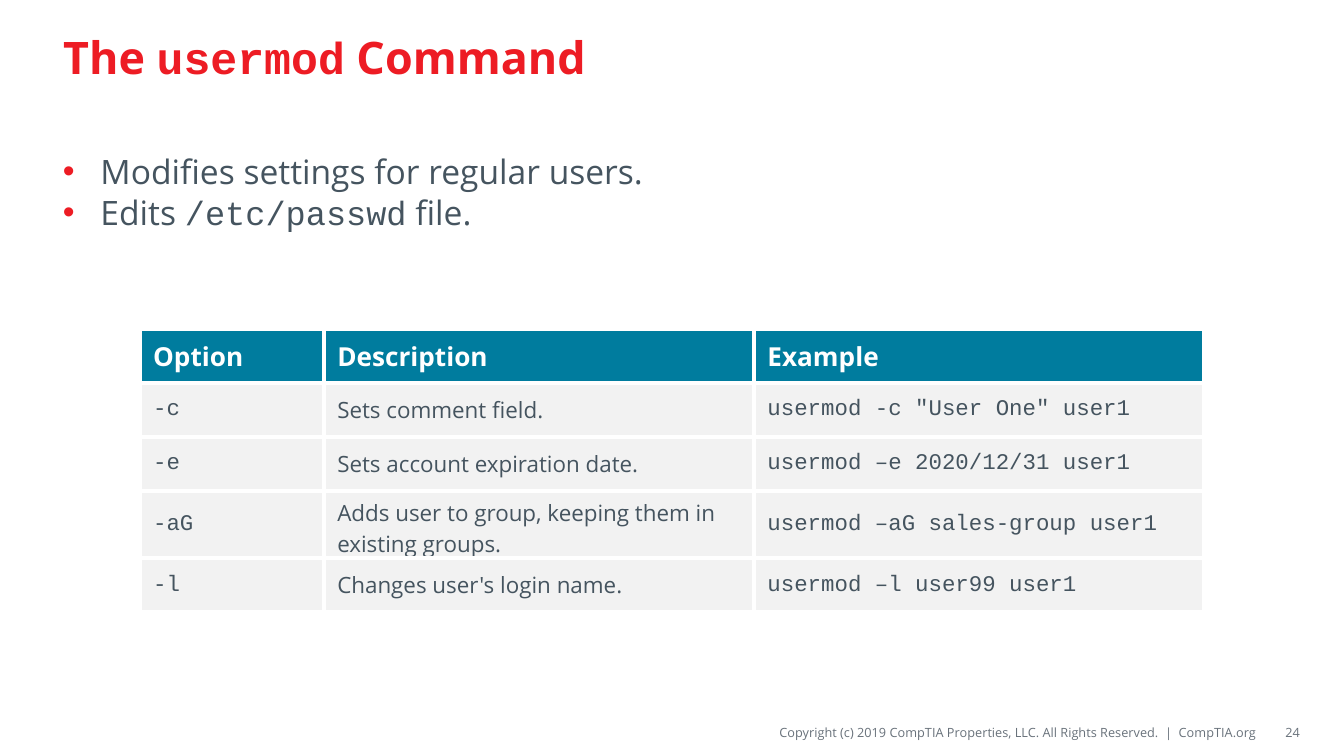
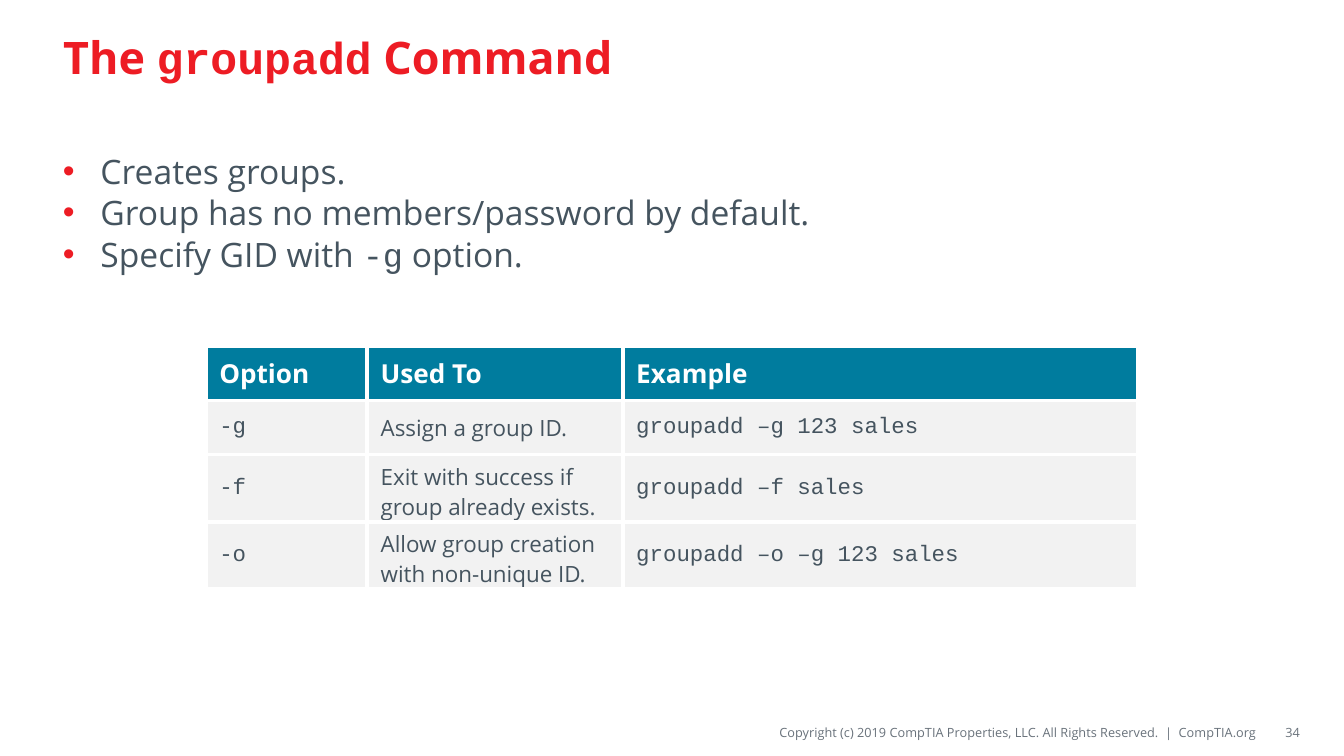
"""Build two slides that explain the usermod and groupadd commands."""
import dataclasses

import pptx
import pptx.dml.color
import pptx.enum.text
import pptx.oxml
import pptx.oxml.ns
import pptx.util

Cm = pptx.util.Cm
Pt = pptx.util.Pt
RGB = pptx.dml.color.RGBColor.from_string
ALIGN = pptx.enum.text.PP_ALIGN
ANCHOR = pptx.enum.text.MSO_ANCHOR
NAMESPACE = pptx.oxml.ns.nsdecls("a")


@dataclasses.dataclass(frozen=True)
class Theme:
    red: str = "ED1C24"
    teal: str = "007C9E"
    slate: str = "45545F"
    gray: str = "69727B"
    pale: str = "F2F2F2"
    white: str = "FFFFFF"
    sans: str = "Open Sans"
    mono: str = "Courier New"
    title_size: float = 24
    body_size: float = 18
    header_size: float = 14
    cell_size: float = 12
    footer_size: float = 6.8
    bullet_gap: float = 0.7
    border: float = 2.25


theme = Theme()
MARGIN, CONTENT_WIDTH = Cm(0.94), Cm(23.5)
ROW_HEIGHT = Cm(1.02)
FOOTER_TOP, FOOTER_HEIGHT = Cm(13.56), Cm(0.56)
COPYRIGHT = "Copyright (c) 2019 CompTIA Properties, LLC. All Rights Reserved.  |  CompTIA.org"

slides = [
    {
        "title": "The `usermod` Command",
        "number": "24",
        "bullets": ["Modifies settings for regular users.", "Edits `/etc/passwd` file."],
        "table_at": (2.64, 6.22),
        "columns": (3.48, 8.13, 8.51),
        "rows": [
            ("Option", "Description", "Example"),
            ("`-c`", "Sets comment field.", '`usermod -c "User One" user1`'),
            ("`-e`", "Sets account expiration date.", "`usermod –e 2020/12/31 user1`"),
            ("`-aG`", "Adds user to group, keeping them in existing groups.",
             "`usermod –aG sales-group user1`"),
            ("`-l`", "Changes user's login name.", "`usermod –l user99 user1`"),
        ],
    },
    {
        "title": "The `groupadd` Command",
        "number": "34",
        "bullets": ["Creates groups.", "Group has no members/password by default.",
                    "Specify GID with `-g` option."],
        "table_at": (3.89, 6.55),
        "columns": (3.05, 4.83, 9.73),
        "rows": [
            ("Option", "Used To", "Example"),
            ("`-g`", "Assign a group ID.", "`groupadd –g 123 sales`"),
            ("`-f`", "Exit with success if group already exists.", "`groupadd –f sales`"),
            ("`-o`", "Allow group creation with non-unique ID.", "`groupadd –o –g 123 sales`"),
        ],
    },
]


def write(paragraph, text, size, color, bold=False):
    """Fill a paragraph, setting the parts between backticks in the code font."""
    parts = [(part, theme.mono if index % 2 else theme.sans)
             for index, part in enumerate(text.split("`")) if part]
    paragraph.font.size = Pt(size)
    paragraph.font.bold = bold
    paragraph.font.color.rgb = RGB(color)
    if len(parts) == 1:
        paragraph.font.name = parts[0][1]
    for part, font_name in parts:
        run = paragraph.add_run()
        run.text = part
        if len(parts) > 1:
            run.font.name = font_name


presentation = pptx.Presentation()
presentation.slide_width, presentation.slide_height = Cm(25.4), Cm(14.29)

for content in slides:
    slide = presentation.slides.add_slide(presentation.slide_layouts[5])

    title = slide.shapes.title
    title.left, title.top, title.width, title.height = MARGIN, Cm(0.2), CONTENT_WIDTH, Cm(1.75)
    title.text_frame.auto_size = pptx.enum.text.MSO_AUTO_SIZE.NONE
    title.text_frame.vertical_anchor = ANCHOR.MIDDLE
    paragraph = title.text_frame.paragraphs[0]
    paragraph.alignment = ALIGN.LEFT
    write(paragraph, content["title"], theme.title_size, theme.red, bold=True)

    body = slide.shapes.add_textbox(MARGIN, Cm(2.72), CONTENT_WIDTH, Cm(9.9)).text_frame
    body.word_wrap = True
    for index, text in enumerate(content["bullets"]):
        paragraph = body.add_paragraph() if index else body.paragraphs[0]
        properties = paragraph._p.get_or_add_pPr()
        properties.set("marL", str(Cm(0.71)))
        properties.set("indent", str(-Cm(0.71)))
        if index:
            paragraph.space_before = Pt(theme.bullet_gap)
        for element in (f'<a:buClr {NAMESPACE}><a:srgbClr val="{theme.red}"/></a:buClr>',
                        f'<a:buFont {NAMESPACE} typeface="Arial"/>',
                        f'<a:buChar {NAMESPACE} char="•"/>'):
            properties.append(pptx.oxml.parse_xml(element))
        write(paragraph, text, theme.body_size, theme.slate)

    rows, columns = content["rows"], content["columns"]
    left, top = content["table_at"]
    table = slide.shapes.add_table(len(rows), len(columns), Cm(left), Cm(top),
                                   Cm(sum(columns)), ROW_HEIGHT * len(rows)).table
    table.horz_banding = False
    for column, width in zip(table.columns, columns):
        column.width = Cm(width)
    for row_index, row in enumerate(rows):
        header = row_index == 0
        for column_index, text in enumerate(row):
            cell = table.cell(row_index, column_index)
            cell.vertical_anchor = ANCHOR.MIDDLE
            for side in ("lnL", "lnR", "lnT", "lnB"):
                cell._tc.get_or_add_tcPr().append(pptx.oxml.parse_xml(
                    f'<a:{side} {NAMESPACE} w="{Pt(theme.border)}"><a:solidFill>'
                    f'<a:srgbClr val="{theme.white}"/></a:solidFill></a:{side}>'))
            cell.fill.solid()
            cell.fill.fore_color.rgb = RGB(theme.teal if header else theme.pale)
            write(cell.text_frame.paragraphs[0], text,
                  theme.header_size if header else theme.cell_size,
                  theme.white if header else theme.slate, bold=header)

    for text, left, width in ((COPYRIGHT, 9.86, 13.89), (content["number"], 23.83, 0.74)):
        footer = slide.shapes.add_textbox(Cm(left), FOOTER_TOP, Cm(width), FOOTER_HEIGHT).text_frame
        footer.word_wrap = True
        footer.vertical_anchor = ANCHOR.MIDDLE
        footer.margin_left = footer.margin_right = 0
        footer.margin_top = footer.margin_bottom = Cm(0.1)
        paragraph = footer.paragraphs[0]
        paragraph.alignment = ALIGN.RIGHT
        write(paragraph, text, theme.footer_size, theme.gray)

presentation.save("out.pptx")
